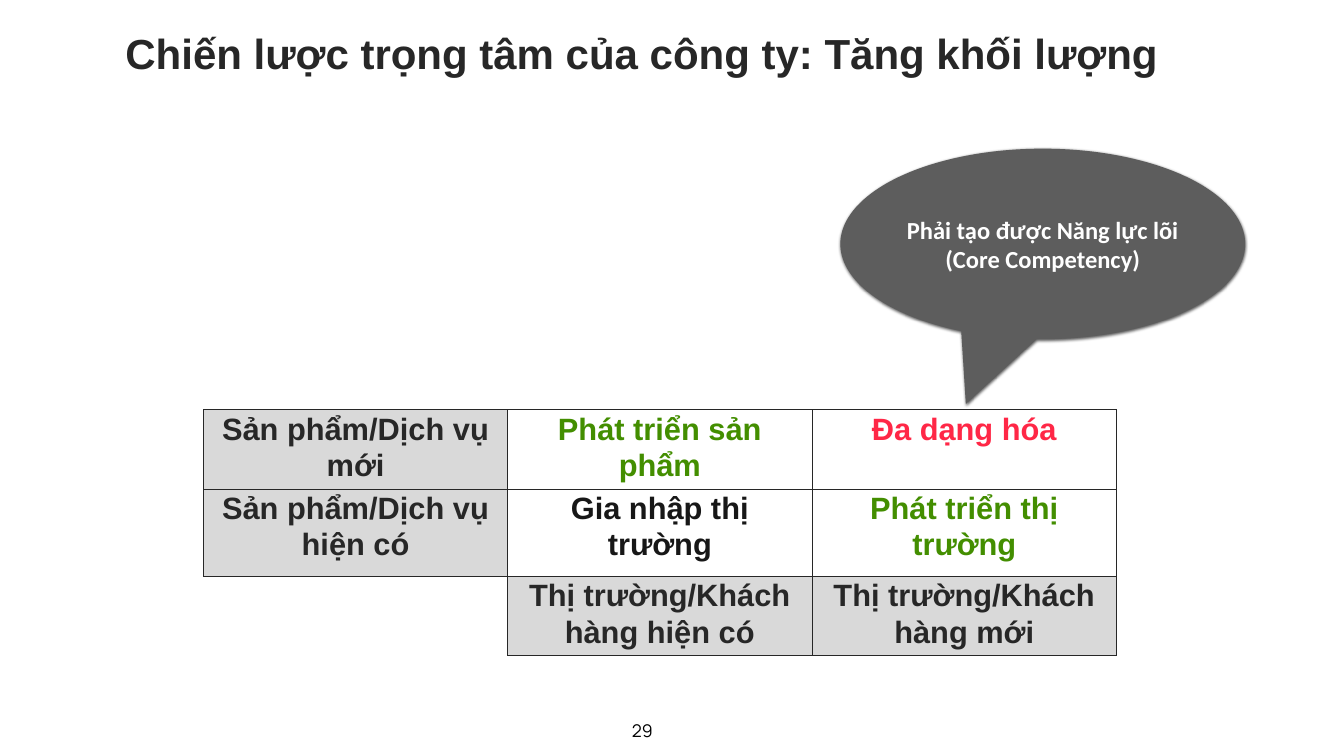
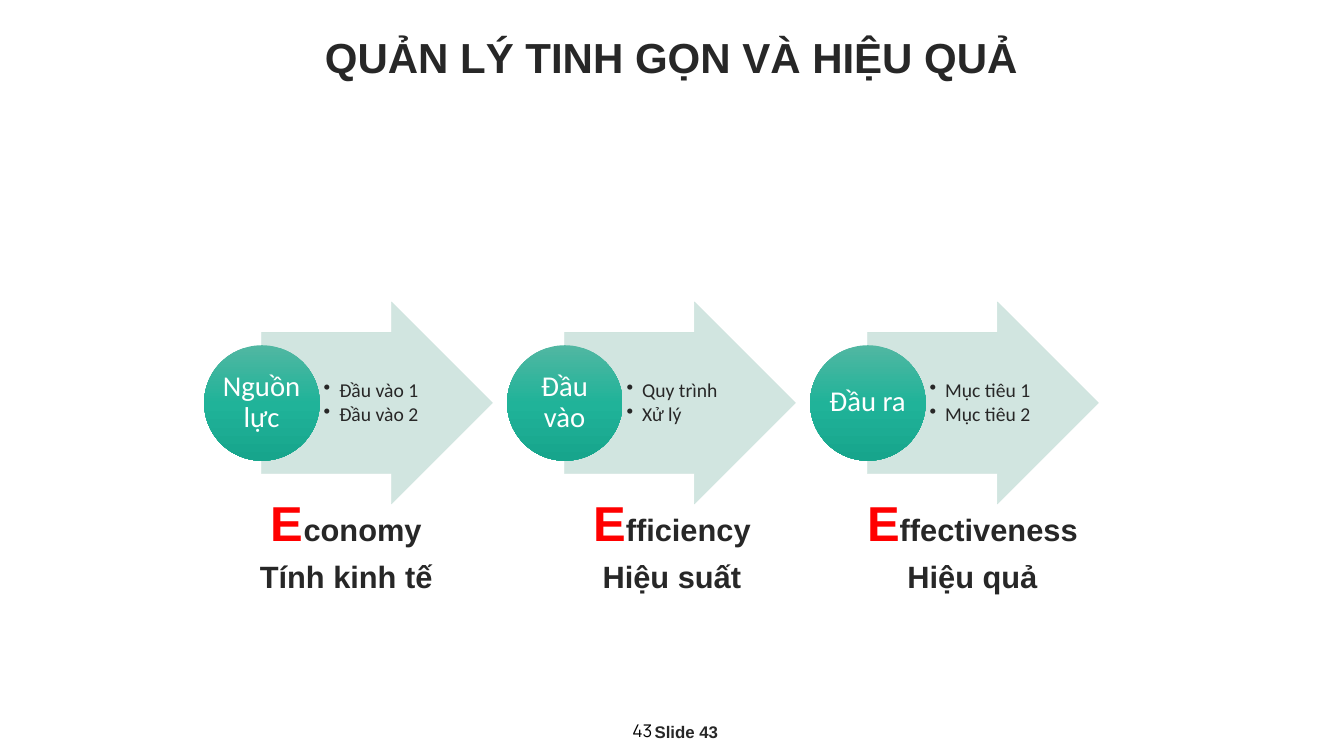
from dataclasses import dataclass
from typing import Optional

import lxml.etree
import pptx
import pptx.dml.color
import pptx.enum.shapes
import pptx.enum.text
import pptx.oxml.ns
import pptx.util

PX = 9144  # EMU in one px, 100 px to the inch

COLORS = {
    "ink": "272727",
    "black": "000000",
    "near_black": "171717",
    "white": "FFFFFF",
    "grey": "D9D9D9",
    "callout": "5D5D5D",
    "green": "438E00",
    "pink": "FF2746",
    "red": "FF0000",
    "mint": "CDE3DD",
    "teal_light": "51B7A2",
    "teal": "20B399",
    "teal_dark": "17A58C",
}
SHAPE = pptx.enum.shapes.MSO_SHAPE
MIDDLE = pptx.enum.text.MSO_ANCHOR.MIDDLE
TOP = pptx.enum.text.MSO_ANCHOR.TOP
CENTER = pptx.enum.text.PP_ALIGN.CENTER
LEFT = pptx.enum.text.PP_ALIGN.LEFT
TITLE_SIZE = 60
BODY_SIZE = 44
INITIAL_SIZE = 70
BULLET_INDENT = 31


@dataclass(frozen=True)
class Area:
    left: int
    top: int
    width: int
    height: int

    def emu(self) -> tuple:
        return tuple(length * PX for length in (self.left, self.top, self.width, self.height))


@dataclass(frozen=True)
class MatrixCell:
    text: str
    color: str = "ink"
    fill: str = "white"
    borders: str = "LRTB"


@dataclass(frozen=True)
class Stage:
    name: str
    items: str
    caption: str
    caption_left: int


# Shared helpers
def rgb(name: str) -> pptx.dml.color.RGBColor:
    return pptx.dml.color.RGBColor.from_string(COLORS[name])


def add_element(parent, tag: str, **attributes: str):
    element = lxml.etree.SubElement(parent, pptx.oxml.ns.qn(tag))
    for name, value in attributes.items():
        element.set(name, value)
    return element


def add_color(parent, name: str, opacity: Optional[int] = None) -> None:
    color = add_element(parent, "a:srgbClr", val=COLORS[name])
    if opacity is not None:
        add_element(color, "a:alpha", val=str(opacity * 1000))


def write(frame, text: str, *, size: int, color: str = "ink", font: str = "Arial",
          bold: bool = False, align=CENTER, spacing: float = 1.0, after: int = 0,
          bullets: bool = False, red_initial: bool = False) -> None:
    """Fill a text frame, one paragraph per line of text."""
    for index, line in enumerate(text.split("\n")):
        para = frame.paragraphs[0] if index == 0 else frame.add_paragraph()
        if bullets:
            properties = para._p.get_or_add_pPr()
            properties.set("marL", str(BULLET_INDENT * PX))
            properties.set("indent", str(-BULLET_INDENT * PX))
            add_element(properties, "a:buChar", char="•")
        para.alignment = align
        para.line_spacing = spacing
        para.space_after = pptx.util.Pt(after)
        spans = [(line, size, color)]
        if red_initial and index == 0:
            spans = [(line[0], INITIAL_SIZE, "red"), (line[1:], size, color)]
        for words, span_size, span_color in spans:
            span = para.add_run()
            span.text = words
            span.font.name = font
            span.font.size = pptx.util.Pt(span_size)
            span.font.bold = bold
            span.font.color.rgb = rgb(span_color)


def set_margins(frame, left: int, top: int, right: int, bottom: int) -> None:
    frame.margin_left, frame.margin_top = left * PX, top * PX
    frame.margin_right, frame.margin_bottom = right * PX, bottom * PX


def add_text(page, area: Area, text: str, *, margins: tuple = (10, 5, 10, 5),
             anchor=TOP, wrap: bool = True, **text_format) -> None:
    frame = page.shapes.add_textbox(*area.emu()).text_frame
    frame.word_wrap = wrap
    frame.vertical_anchor = anchor
    set_margins(frame, *margins)
    write(frame, text, **text_format)


def add_figure(page, kind, area: Area, fill: str, adjustments: tuple = ()):
    shape = page.shapes.add_shape(kind, *area.emu())
    shape.shadow.inherit = False
    shape.fill.solid()
    shape.fill.fore_color.rgb = rgb(fill)
    shape.line.fill.background()
    for index, value in enumerate(adjustments):
        shape.adjustments[index] = value
    return shape


def add_page(deck, title: str, title_area: Area, number: int, wrap_title: bool):
    page = deck.slides.add_slide(deck.slide_layouts[6])
    page.background.fill.solid()
    page.background.fill.fore_color.rgb = rgb("white")
    add_text(page, Area(1195, 1429, 158, 52), str(number), margins=(0, 0, 0, 0),
             size=25, font="Manrope", color="black")
    add_text(page, title_area, title, wrap=wrap_title, size=TITLE_SIZE, bold=True)
    return page


# Growth matrix
MATRIX = (
    (MatrixCell("Sản phẩm/Dịch vụ mới", fill="grey"),
     MatrixCell("Phát triển sản phẩm", "green"),
     MatrixCell("Đa dạng hóa", "pink")),
    (MatrixCell("Sản phẩm/Dịch vụ hiện có", fill="grey"),
     MatrixCell("Gia nhập thị trường", "near_black"),
     MatrixCell("Phát triển thị trường", "green")),
    (MatrixCell("", borders="RT"),
     MatrixCell("Thị trường/Khách hàng hiện có", fill="grey"),
     MatrixCell("Thị trường/Khách hàng mới", fill="grey")),
)
COLUMN_WIDTHS = (603, 604, 604)
ROW_HEIGHTS = (157, 174, 138)


def draw_cell(box, cell: MatrixCell) -> None:
    properties = box._tc.get_or_add_tcPr()
    for side in "LRTB":
        line = add_element(properties, f"a:ln{side}", w=str(pptx.util.Pt(1)))
        if side in cell.borders:
            add_color(add_element(line, "a:solidFill"), "ink")
        else:
            add_element(line, "a:noFill")
    box.fill.solid()
    box.fill.fore_color.rgb = rgb(cell.fill)
    set_margins(box, 15, 0, 15, 0)
    if cell.text:
        write(box.text_frame, cell.text, size=BODY_SIZE, color=cell.color,
              bold=True, spacing=1.07)


def draw_matrix(page) -> None:
    area = Area(404, 813, sum(COLUMN_WIDTHS), sum(ROW_HEIGHTS))
    table = page.shapes.add_table(len(MATRIX), len(COLUMN_WIDTHS), *area.emu()).table
    table.first_row = table.horz_banding = False
    for column, width in zip(table.columns, COLUMN_WIDTHS):
        column.width = width * PX
    for row, height, cells in zip(table.rows, ROW_HEIGHTS, MATRIX):
        row.height = height * PX
        for box, cell in zip(row.cells, cells):
            draw_cell(box, cell)


def draw_callout(page) -> None:
    callout = add_figure(page, SHAPE.OVAL_CALLOUT, Area(1667, 295, 803, 378),
                         "callout", (-0.19, 0.84))
    effects = callout._element.spPr.find(pptx.oxml.ns.qn("a:effectLst"))
    shadow = add_element(effects, "a:outerShdw", blurRad=str(pptx.util.Pt(4.5)),
                         dist=str(pptx.util.Pt(1.5)), dir="5400000", rotWithShape="0")
    add_color(shadow, "black", 63)
    frame = callout.text_frame
    frame.word_wrap = True
    frame.vertical_anchor = MIDDLE
    set_margins(frame, 0, 5, 0, 5)
    write(frame, "Phải tạo được Năng lực lõi\n(Core Competency)", size=35,
          font="Calibri", color="white", bold=True)


# Process stages
STAGES = (
    Stage("Nguồn lực", "Đầu vào 1\nĐầu vào 2", "Economy\nTính kinh tế", 435),
    Stage("Đầu vào", "Quy trình\nXử lý", "Efficiency\nHiệu suất", 1081),
    Stage("Đầu ra", "Mục tiêu 1\nMục tiêu 2", "Effectiveness\nHiệu quả", 1677),
)
FIRST_STAGE_LEFT = 405
STAGE_PITCH = 601
CIRCLE = 229


def draw_arrow(page, left: int) -> None:
    arrow = add_figure(page, SHAPE.RIGHT_ARROW, Area(left, 599, 458, 401), "mint", (0.7, 0.5))
    arrow.line.color.rgb = rgb("mint")
    arrow.line.width = pptx.util.Pt(0.5)
    for color in arrow._element.spPr.iter(pptx.oxml.ns.qn("a:srgbClr")):
        add_element(color, "a:alpha", val="90000")


def draw_circle(page, left: int) -> None:
    circle = add_figure(page, SHAPE.OVAL, Area(left, 685, CIRCLE, CIRCLE), "teal")
    circle.fill.gradient()
    circle.fill.gradient_angle = 270
    stops = circle._element.spPr.find(".//" + pptx.oxml.ns.qn("a:gsLst"))
    for stop in list(stops):
        stops.remove(stop)
    for percent, name in ((0, "teal_light"), (50, "teal"), (100, "teal_dark")):
        add_color(add_element(stops, "a:gs", pos=str(percent * 1000)), name)


def draw_stage(page, stage: Stage, left: int) -> None:
    draw_arrow(page, left + CIRCLE // 2)
    add_text(page, Area(left + CIRCLE, 659, 223, 280), stage.items, margins=(8, 2, 4, 2),
             anchor=MIDDLE, size=28, font="Calibri", align=LEFT, spacing=0.9, after=4,
             bullets=True)
    draw_circle(page, left)
    add_text(page, Area(left + 33, 718, 162, 162), stage.name, margins=(3, 3, 3, 3),
             anchor=MIDDLE, size=41, font="Calibri", color="white", spacing=0.9)


def main() -> None:
    deck = pptx.Presentation()
    deck.slide_width, deck.slide_height = 2666 * PX, 1500 * PX

    # Slide with the growth matrix
    page = add_page(deck, "Chiến lược trọng tâm của công ty: Tăng khối lượng",
                    Area(77, 50, 2393, 149), 29, wrap_title=True)
    draw_matrix(page)
    draw_callout(page)

    # Slide with the three stages
    page = add_page(deck, "QUẢN LÝ TINH GỌN VÀ HIỆU QUẢ",
                    Area(628, 57, 1408, 111), 43, wrap_title=False)
    add_text(page, Area(1128, 1427, 467, 104), "Slide 43", size=24, bold=True)
    for index, stage in enumerate(STAGES):
        draw_stage(page, stage, FIRST_STAGE_LEFT + index * STAGE_PITCH)
    for stage in STAGES:
        add_text(page, Area(stage.caption_left, 948, 504, 232), stage.caption,
                 size=BODY_SIZE, bold=True, spacing=1.2, red_initial=True)

    deck.save("out.pptx")


if __name__ == "__main__":
    main()
